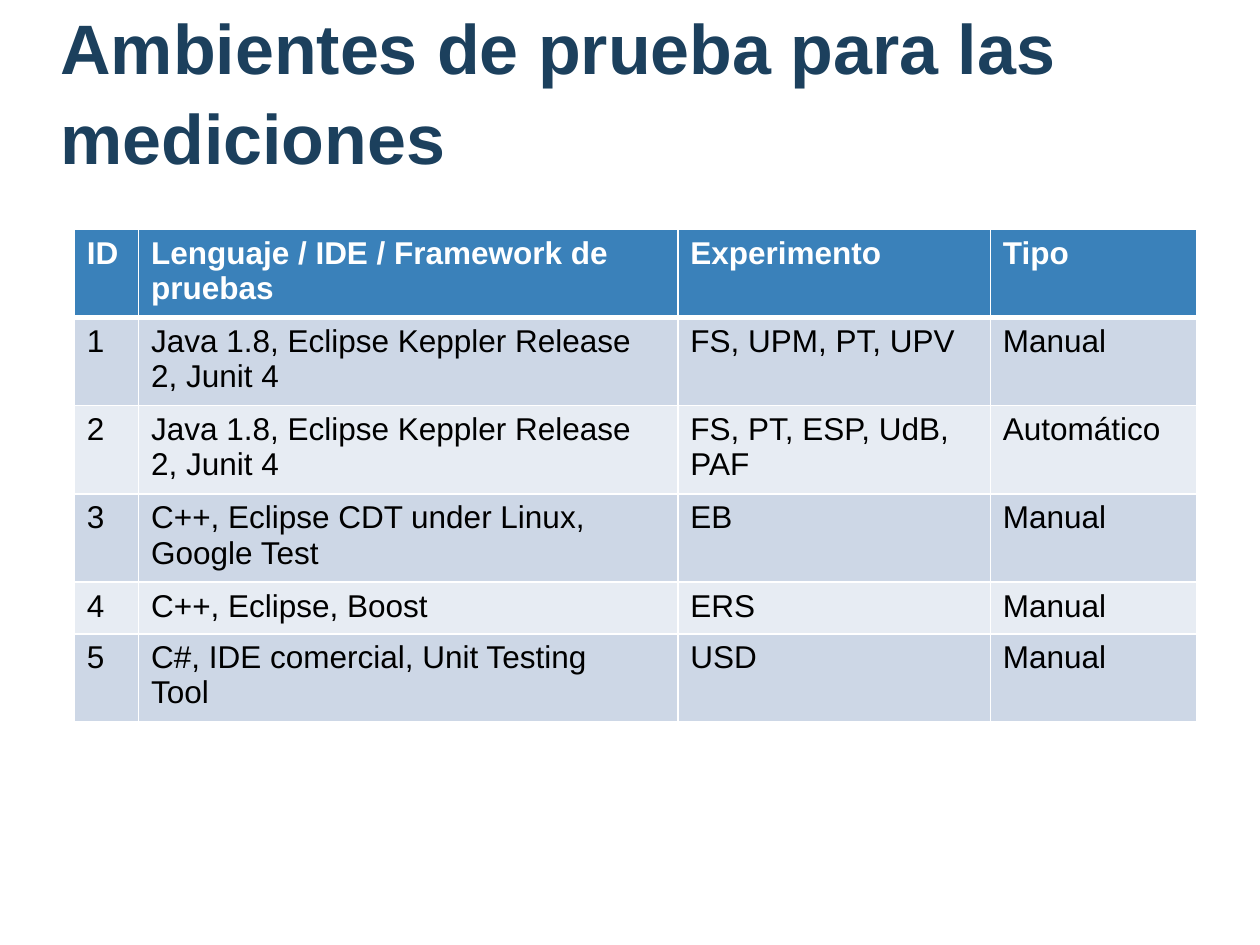
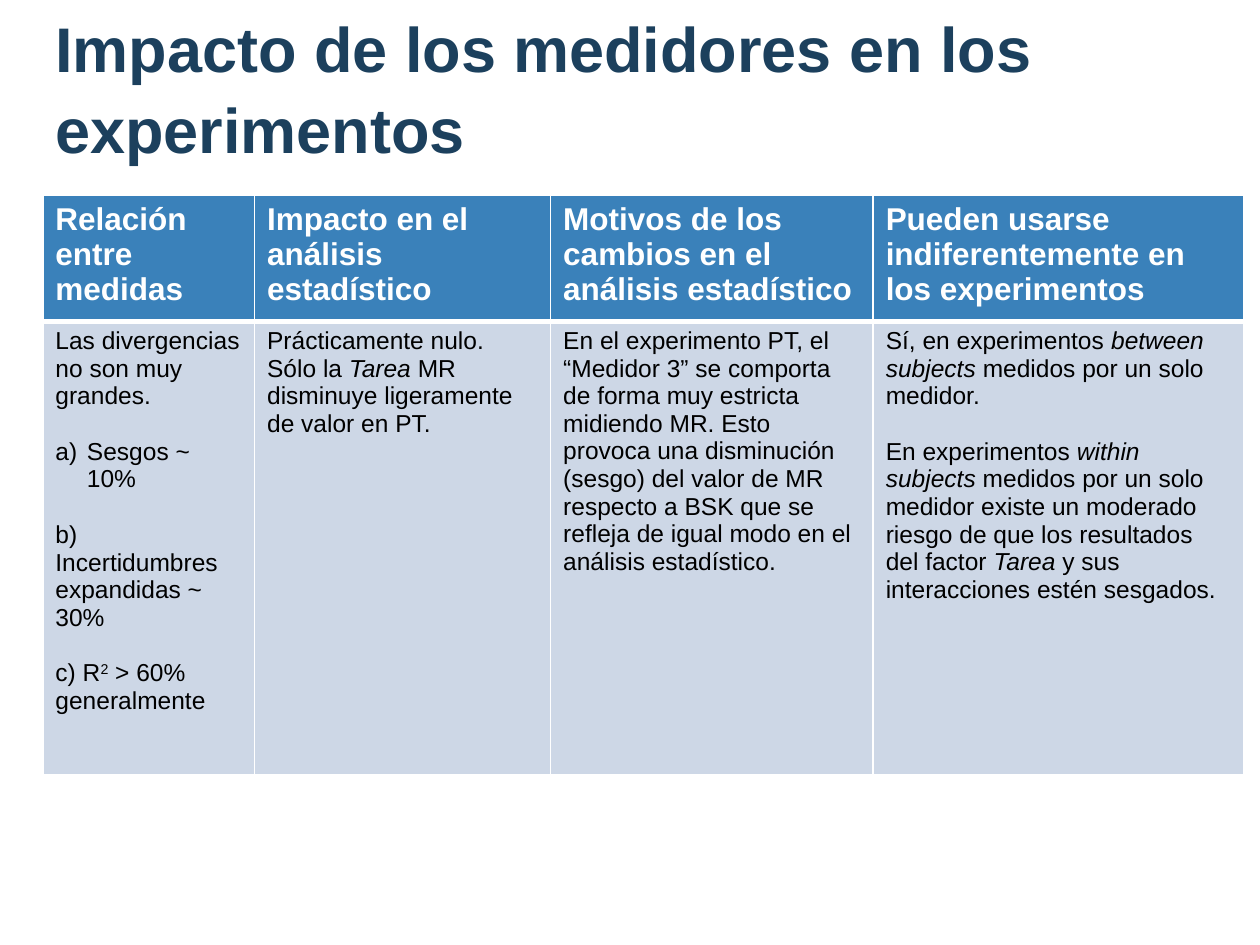
from pptx import Presentation
from pptx.dml.color import RGBColor
from pptx.enum.text import MSO_ANCHOR, MSO_AUTO_SIZE, PP_ALIGN
from pptx.oxml.ns import qn
from pptx.util import Inches, Pt
from lxml import etree

BOTTOM, NO_FIT, LEFT = MSO_ANCHOR.BOTTOM, MSO_AUTO_SIZE.NONE, PP_ALIGN.LEFT
TITLE_ONLY = 5
GRID = Inches(0.1)  # the slide is 100 columns by 75 rows
FONT = "Arial"
NAVY, BLUE, WHITE, BLACK = "1C405D", "3A81BA", "FFFFFF", "000000"
BANDS = ["CDD7E6", "E7ECF3"]
HEADER_SIZE = 18
THIN, THICK = 1, 3
TITLE_LEADING = 1.08
PARAGRAPH_GAP = 16
LETTERED = "a) "

ENVIRONMENTS = [
    ["ID", "Lenguaje / IDE / Framework de pruebas", "Experimento", "Tipo"],
    ["1", "Java 1.8, Eclipse Keppler Release\n2, Junit 4", "FS, UPM, PT, UPV", "Manual"],
    ["2", "Java 1.8, Eclipse Keppler Release\n2, Junit 4", "FS, PT, ESP, UdB, PAF", "Automático"],
    ["3", "C++, Eclipse CDT under Linux,\nGoogle Test", "EB", "Manual"],
    ["4", "C++, Eclipse, Boost", "ERS", "Manual"],
    ["5", "C#, IDE comercial, Unit Testing\nTool", "USD", "Manual"],
]

# *...* marks italics, ^...^ a superscript
IMPACT = [
    ["Relación entre medidas", "Impacto en el análisis estadístico",
     "Motivos de los cambios en el análisis estadístico",
     "Pueden usarse indiferentemente en los experimentos"],
    ["Las divergencias no son muy grandes.\n"
     "a) Sesgos ~ 10%\n"
     "b) Incertidumbres expandidas ~ 30%\n"
     "c) R^2^ > 60% generalmente",
     "Prácticamente nulo. Sólo la *Tarea* MR disminuye ligeramente de valor en PT.",
     "En el experimento PT, el “Medidor 3” se comporta de forma muy estricta "
     "midiendo MR. Esto provoca una disminución (sesgo) del valor de MR respecto "
     "a BSK que se refleja de igual modo en el análisis estadístico.",
     "Sí, en experimentos *between subjects *medidos por un solo medidor.\n"
     "En experimentos *within subjects* medidos por un solo medidor existe un "
     "moderado riesgo de que los resultados del factor *Tarea *y sus "
     "interacciones estén sesgados."],
]


def color(code):
    return RGBColor.from_string(code)


def grid(*units):
    return [round(unit * GRID) for unit in units]


def set_font(font, size, code, bold):
    font.name, font.size, font.bold = FONT, Pt(size), bold
    font.color.rgb = color(code)


def add_title(page, box, text, size):
    title = page.shapes.title
    title.left, title.top, title.width, title.height = grid(*box)
    frame = title.text_frame
    frame.text = text
    frame.word_wrap, frame.auto_size, frame.vertical_anchor = True, NO_FIT, BOTTOM
    frame.margin_left = frame.margin_right = GRID
    frame.margin_top = frame.margin_bottom = GRID
    para = frame.paragraphs[0]
    para.alignment, para.line_spacing = LEFT, TITLE_LEADING
    set_font(para.font, size, NAVY, True)


def add_lettering(para):
    properties = para._p.get_or_add_pPr()
    properties.set("marL", str(Inches(0.25)))
    properties.set("indent", str(-Inches(0.25)))
    etree.SubElement(properties, qn("a:buFont"), typeface="+mj-lt")
    etree.SubElement(properties, qn("a:buAutoNum"), type="alphaLcParenR")


def add_spans(para, text):
    """Split marked text into plain, italic and superscript runs."""
    for i, phrase in enumerate(text.split("*")):
        for j, piece in enumerate(phrase.split("^")):
            if not piece:
                continue
            span = para.add_run()
            span.text = piece
            if i % 2:
                span.font.italic = True
            if j % 2:
                span._r.get_or_add_rPr().set("baseline", "30000")


def fill_cell(cell, text, size, code, bold, gap):
    frame = cell.text_frame
    for index, line in enumerate(text.split("\n")):
        para = frame.add_paragraph() if index else frame.paragraphs[0]
        if line.startswith(LETTERED):
            add_lettering(para)
            line = line.removeprefix(LETTERED)
        if index and gap:
            para.space_before = Pt(gap)
        add_spans(para, line)
        set_font(para.font, size, code, bold)


def set_borders(cell, top, bottom):
    properties = cell._tc.get_or_add_tcPr()
    widths = {"a:lnL": THIN, "a:lnR": THIN, "a:lnT": top, "a:lnB": bottom}
    for side, width in widths.items():
        line = etree.SubElement(properties, qn(side), w=str(Pt(width)))
        fill = etree.SubElement(line, qn("a:solidFill"))
        etree.SubElement(fill, qn("a:srgbClr"), val=WHITE)


def add_banded_table(page, corner, widths, heights, rows, body_size, gap=0):
    """Place a table with a blue header row; gap separates a cell's paragraphs."""
    box = grid(*corner, sum(widths), sum(heights))
    table = page.shapes.add_table(len(rows), len(widths), *box).table
    for column, width in zip(table.columns, grid(*widths)):
        column.width = width
    for row, height in zip(table.rows, grid(*heights)):
        row.height = height
    for r, texts in enumerate(rows):
        header = r == 0
        size, code = (HEADER_SIZE, WHITE) if header else (body_size, BLACK)
        for c, text in enumerate(texts):
            cell = table.cell(r, c)
            fill_cell(cell, text, size, code, header, gap)
            set_borders(cell, THICK if r == 1 else THIN, THICK if header else THIN)
            cell.fill.solid()
            cell.fill.fore_color.rgb = color(BLUE if header else BANDS[(r - 1) % 2])


def add_page(deck):
    return deck.slides.add_slide(deck.slide_layouts[TITLE_ONLY])


def build_environments(deck):
    page = add_page(deck)
    add_title(page, (3.8, 5, 91.6, 10.2), "Ambientes de prueba para las mediciones", 40)
    add_banded_table(page, (5.9, 18.2), [5.1, 42.8, 24.8, 16.4],
                     [7, 7, 7, 7, 4.1, 7], ENVIRONMENTS, body_size=18)


def build_impact(deck):
    page = add_page(deck)
    add_title(page, (3.4, 5, 92, 9.2), "Impacto de los medidores en los experimentos", 36)
    add_banded_table(page, (3.4, 15.5), [16.8, 23.5, 25.6, 29.4],
                     [10, 36], IMPACT, body_size=14, gap=PARAGRAPH_GAP)


def main():
    deck = Presentation()
    deck.slide_width, deck.slide_height = grid(100, 75)
    build_environments(deck)
    build_impact(deck)
    deck.save("out.pptx")


if __name__ == "__main__":
    main()
